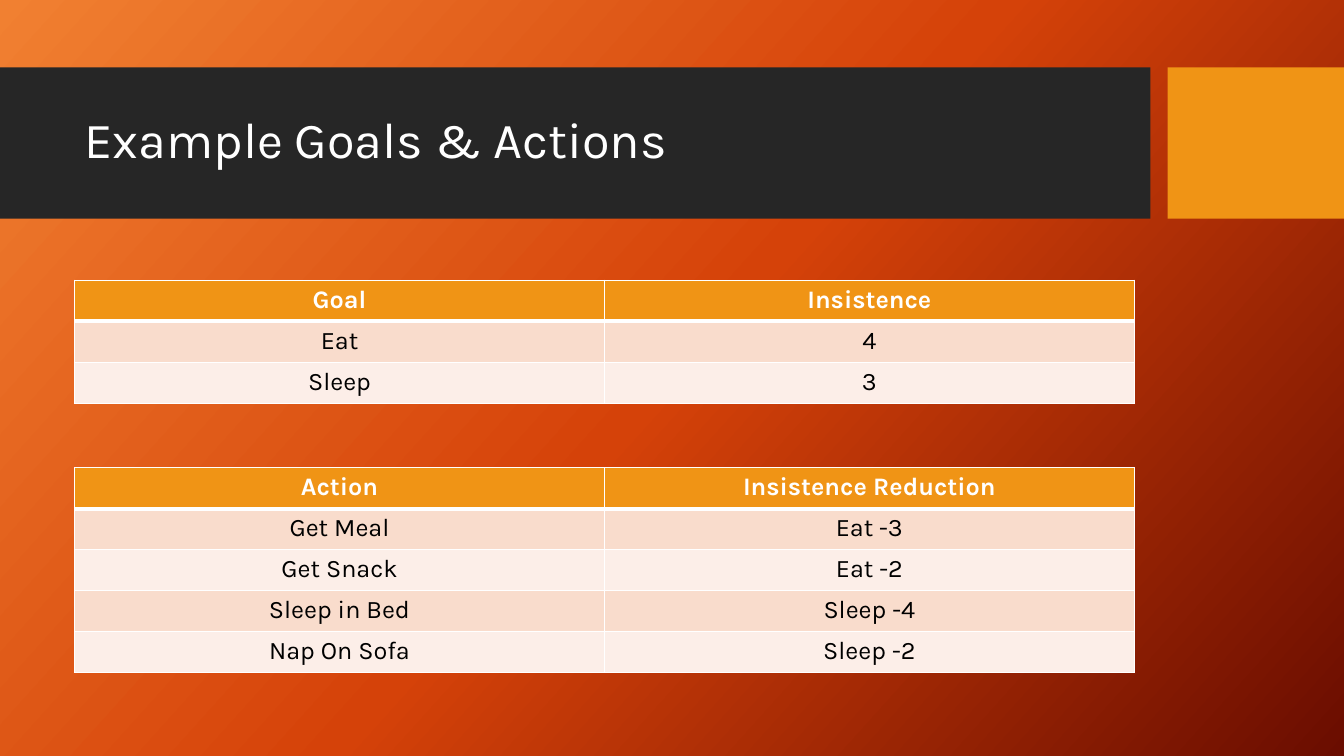
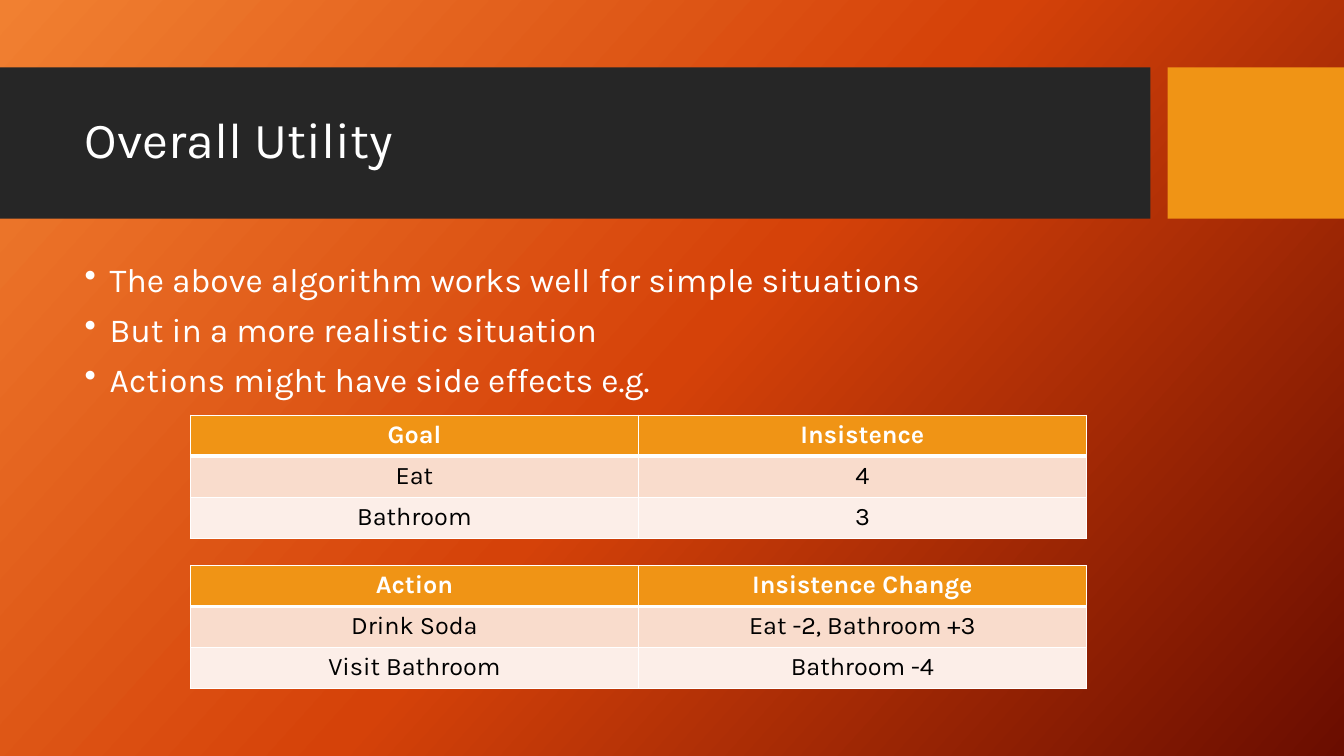
from copy import deepcopy

from lxml import etree
from pptx import Presentation, util as u
from pptx.dml.color import RGBColor
from pptx.enum import shapes, text
from pptx.oxml.ns import qn

COLORS = {
    "glow": "F18031", "flame": "D54209", "ember": "6A0D00",
    "band": "262626", "accent": "F09415", "white": "FFFFFF",
    "ink": "000000", "odd_row": "F9DCCC", "even_row": "FCEEE8",
}
FONT = "Karla"
MARGIN, CONTENT_WIDTH = 5.55, 78.85
BAND_TOP, BAND_HEIGHT = 8.93, 20
ROW_HEIGHT = 5.42


def rgb(name):
    return RGBColor.from_string(COLORS[name])


class Deck:
    def __init__(self):
        self.prs = Presentation()
        self.prs.slide_width = u.Inches(13.33)
        self.prs.slide_height = u.Inches(7.5)
        self.slide = None
        self.paint_background()

    def box(self, left, top, width, height):
        across, down = self.prs.slide_width / 100, self.prs.slide_height / 100
        return [round(share * unit) for share, unit in
                zip((left, top, width, height), (across, down, across, down))]

    def paint_background(self):
        fill = self.prs.slide_master.background.fill
        fill.gradient()
        fill.gradient_angle = 360 - 42
        first = fill.gradient_stops[0]._gs
        first.addnext(deepcopy(first))
        for stop, position, name in zip(
                fill.gradient_stops, (0, 0.5, 1), ("glow", "flame", "ember")):
            stop.position = position
            stop.color.rgb = rgb(name)

    def style(self, paragraph, size, color, bold=False):
        font = paragraph.font
        font.name, font.size, font.bold = FONT, u.Pt(size), bold
        font.color.rgb = rgb(color)

    def band(self, left, width, color):
        band = self.slide.shapes.add_shape(
            shapes.MSO_SHAPE.RECTANGLE,
            *self.box(left, BAND_TOP, width, BAND_HEIGHT))
        band.shadow.inherit = False
        band.fill.solid()
        band.fill.fore_color.rgb = rgb(color)
        band.line.fill.background()
        self.slide.shapes.title.element.addprevious(band.element)

    def new_slide(self, heading):
        self.slide = self.prs.slides.add_slide(self.prs.slide_layouts[5])
        self.band(0, 85.6, "band")
        self.band(86.87, 13.13, "accent")
        title = self.slide.shapes.title
        title.left, title.top, title.width, title.height = self.box(
            MARGIN, 10.93, CONTENT_WIDTH, 15.73)
        title.text_frame.text = heading
        title.text_frame.vertical_anchor = text.MSO_ANCHOR.MIDDLE
        paragraph = title.text_frame.paragraphs[0]
        paragraph.alignment = text.PP_ALIGN.LEFT
        paragraph.line_spacing = 0.9
        self.style(paragraph, 36, "white")

    def bullets(self, top, height, points):
        frame = self.slide.shapes.add_textbox(
            *self.box(MARGIN, top, CONTENT_WIDTH, height)).text_frame
        frame.word_wrap = True
        frame.text = "\n".join(points)
        for paragraph in frame.paragraphs:
            paragraph.line_spacing = 0.9
            paragraph.space_before = u.Pt(10)
            self.style(paragraph, 24, "white")
            properties = paragraph._p.get_or_add_pPr()
            properties.set("marL", str(u.Inches(0.25)))
            properties.set("indent", str(-u.Inches(0.25)))
            bullet = etree.Element(qn("a:buChar"), char="•")
            properties.find(qn("a:defRPr")).addprevious(bullet)

    def borders(self, cell, widths):
        properties = cell._tc.get_or_add_tcPr()
        for index, (side, width) in enumerate(widths.items()):
            line = etree.Element(qn(f"a:ln{side}"), w=str(u.Pt(width)))
            fill = etree.SubElement(line, qn("a:solidFill"))
            etree.SubElement(fill, qn("a:srgbClr"), val=COLORS["white"])
            properties.insert(index, line)

    def table(self, left, top, width, rows):
        table = self.slide.shapes.add_table(
            len(rows), len(rows[0]),
            *self.box(left, top, width, ROW_HEIGHT * len(rows))).table
        table.first_row = table.horz_banding = False
        for r, row in enumerate(rows):
            header = r == 0
            shade = "accent" if header else "odd_row" if r % 2 else "even_row"
            for c, value in enumerate(row):
                cell = table.cell(r, c)
                cell.text = value
                cell.fill.solid()
                cell.fill.fore_color.rgb = rgb(shade)
                paragraph = cell.text_frame.paragraphs[0]
                paragraph.alignment = text.PP_ALIGN.CENTER
                self.style(paragraph, 18, "white" if header else "ink", header)
                self.borders(cell, {"L": 1, "R": 1, "T": 3 if r == 1 else 1,
                                    "B": 3 if header else 1})


deck = Deck()

deck.new_slide("Example Goals & Actions")
deck.table(MARGIN, 37.07, CONTENT_WIDTH, [
    ("Goal", "Insistence"), ("Eat", "4"), ("Sleep", "3")])
deck.table(MARGIN, 61.87, CONTENT_WIDTH, [
    ("Action", "Insistence Reduction"),
    ("Get Meal", "Eat -3"),
    ("Get Snack", "Eat -2"),
    ("Sleep in Bed", "Sleep -4"),
    ("Nap On Sofa", "Sleep -2")])

deck.new_slide("Overall Utility")
deck.bullets(34.13, 52.53, [
    "The above algorithm works well for simple situations",
    "But in a more realistic situation",
    "Actions might have side effects e.g."])
deck.table(14.17, 54.93, 66.67, [
    ("Goal", "Insistence"), ("Eat", "4"), ("Bathroom", "3")])
deck.table(14.17, 74.8, 66.67, [
    ("Action", "Insistence Change"),
    ("Drink Soda", "Eat -2, Bathroom +3"),
    ("Visit Bathroom", "Bathroom -4")])

deck.prs.save("out.pptx")
